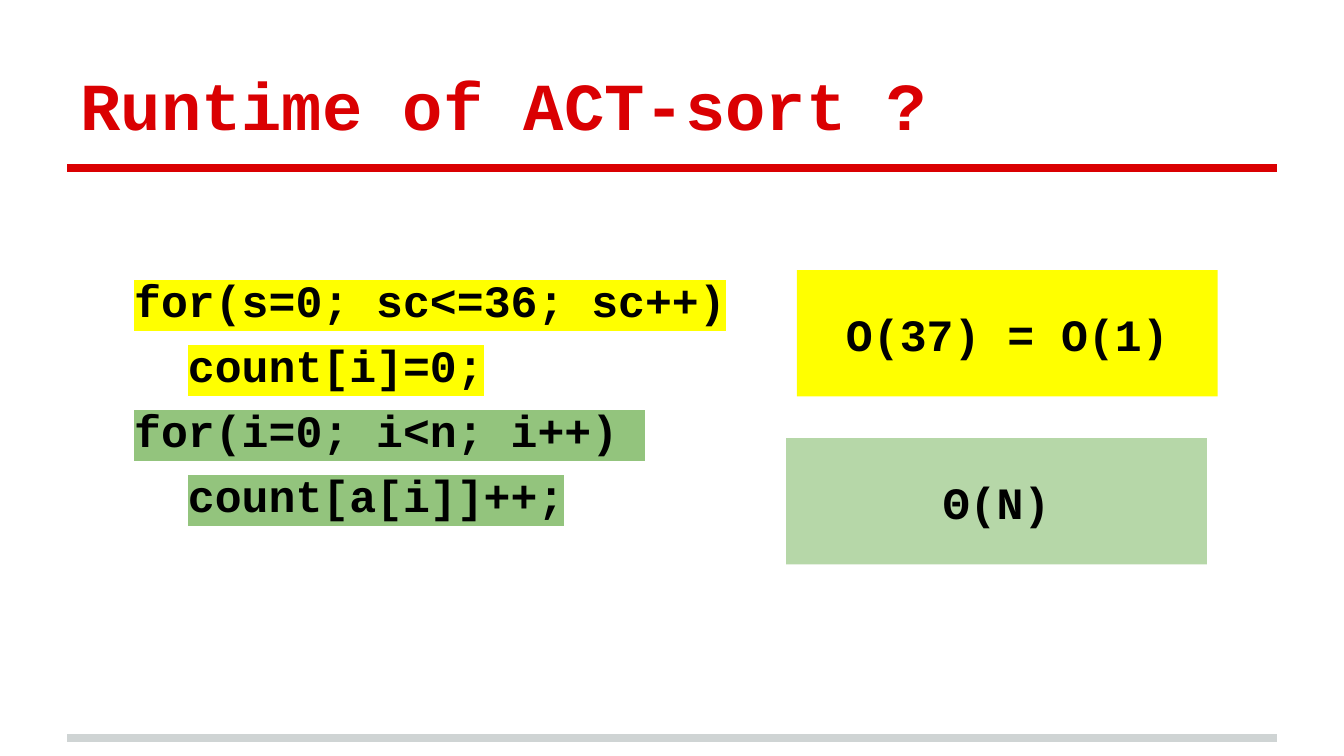
from lxml import etree
from pptx import Presentation
from pptx.dml.color import RGBColor as RGB
from pptx.enum.shapes import MSO_CONNECTOR as CONN, MSO_SHAPE as SHAPE
from pptx.enum.text import MSO_ANCHOR as ANCHOR, PP_ALIGN as ALIGN
from pptx.oxml.ns import qn
from pptx.util import Inches, Pt

RED = RGB(0xDA, 0x00, 0x02)
GRAY = RGB(0xCF, 0xD4, 0xD4)
BLACK = RGB(0x00, 0x00, 0x00)
YELLOW = RGB(0xFF, 0xFF, 0x00)
GREEN = RGB(0x93, 0xC4, 0x7D)
PALE_GREEN = RGB(0xB6, 0xD7, 0xA8)
FONT = "Courier New"

# Indent, code, highlight
CODE = [
    ("  ", "for(s=0; sc<=36; sc++)", YELLOW),
    ("    ", "count[i]=0;", YELLOW),
    ("  ", "for(i=0; i<n; i++) ", GREEN),
    ("    ", "count[a[i]]++;", GREEN),
]


def style(p, size, color):
    p.font.name = FONT
    p.font.size = Pt(size)
    p.font.bold = True
    p.font.color.rgb = color


def set_frame(tf, anchor):
    tf.word_wrap = True
    tf.vertical_anchor = anchor
    tf.margin_left = tf.margin_right = Inches(0.1)
    tf.margin_top = tf.margin_bottom = Inches(0.1)


def add_text_box(s, x, y, w, h, anchor):
    tf = s.shapes.add_textbox(Inches(x), Inches(y), Inches(w), Inches(h)).text_frame
    set_frame(tf, anchor)
    return tf


def add_rule(s, x, y, w, color):
    line = s.shapes.add_connector(
        CONN.STRAIGHT, Inches(x), Inches(y), Inches(x + w), Inches(y))
    line.line.color.rgb = color
    line.line.width = Pt(4)
    etree.SubElement(line._element.spPr, qn("a:effectLst"))


def add_title(s, x, y, w, h, text):
    p = add_text_box(s, x, y, w, h, ANCHOR.BOTTOM).paragraphs[0]
    p.text = text
    style(p, 36, RED)
    add_rule(s, x, y + h + 0.08, w, RED)


def highlight(r, color):
    mark = etree.SubElement(r.font._element, qn("a:highlight"))
    etree.SubElement(mark, qn("a:srgbClr"), val=str(color))


def add_code(s, x, y, w, h):
    tf = add_text_box(s, x, y, w, h, ANCHOR.TOP)
    for i, (indent, code, color) in enumerate(CODE):
        p = tf.add_paragraph() if i else tf.paragraphs[0]
        if i:
            p.space_before = Pt(6)
        p.add_run().text = indent
        r = p.add_run()
        r.text = code
        highlight(r, color)
        style(p, 24, BLACK)


def add_cost(s, x, y, w, h, text, fill):
    sp = s.shapes.add_shape(
        SHAPE.RECTANGLE, Inches(x), Inches(y), Inches(w), Inches(h))
    sp.shadow.inherit = False
    sp.fill.solid()
    sp.fill.fore_color.rgb = fill
    sp.line.fill.background()
    set_frame(sp.text_frame, ANCHOR.MIDDLE)
    p = sp.text_frame.paragraphs[0]
    p.text = text
    p.alignment = ALIGN.CENTER
    style(p, 24, BLACK)


def main():
    prs = Presentation()
    # 16:9 page
    prs.slide_width = Inches(10)
    prs.slide_height = Inches(10 * 9 / 16)
    s = prs.slides.add_slide(prs.slide_layouts[6])

    # Footer rule and title
    add_rule(s, 0.5, 5.49, 9, GRAY)
    add_title(s, 0.5, 0.23, 9, 0.94, "Runtime of ACT-sort ?")

    # Code with the cost of each loop beside it
    add_code(s, 0.5, 1.93, 5.25, 3.28)
    add_cost(s, 5.93, 2.01, 3.13, 0.94, "O(37) = O(1)", YELLOW)
    add_cost(s, 5.85, 3.26, 3.13, 0.94, "Θ(N)", PALE_GREEN)

    prs.save("out.pptx")


if __name__ == "__main__":
    main()
